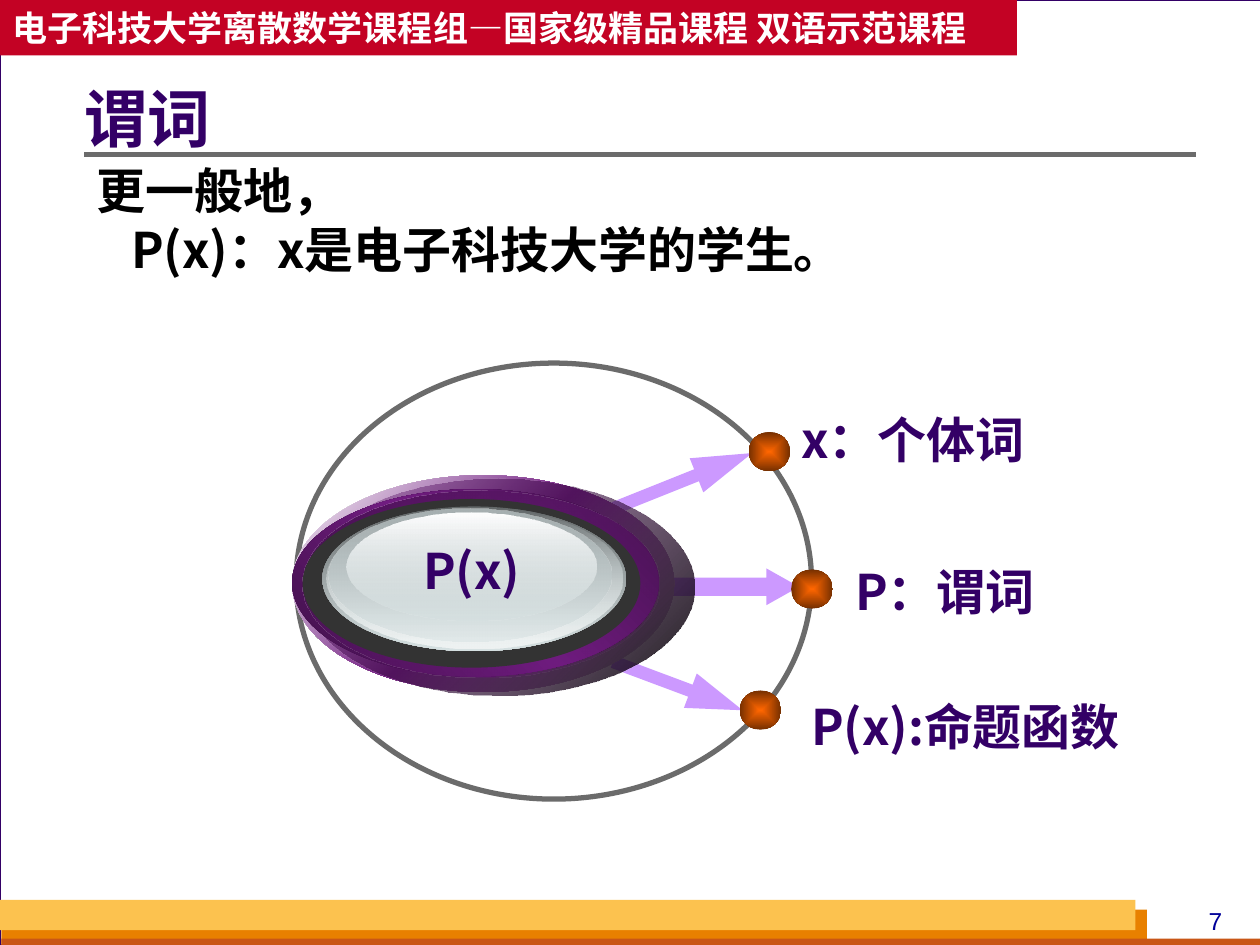
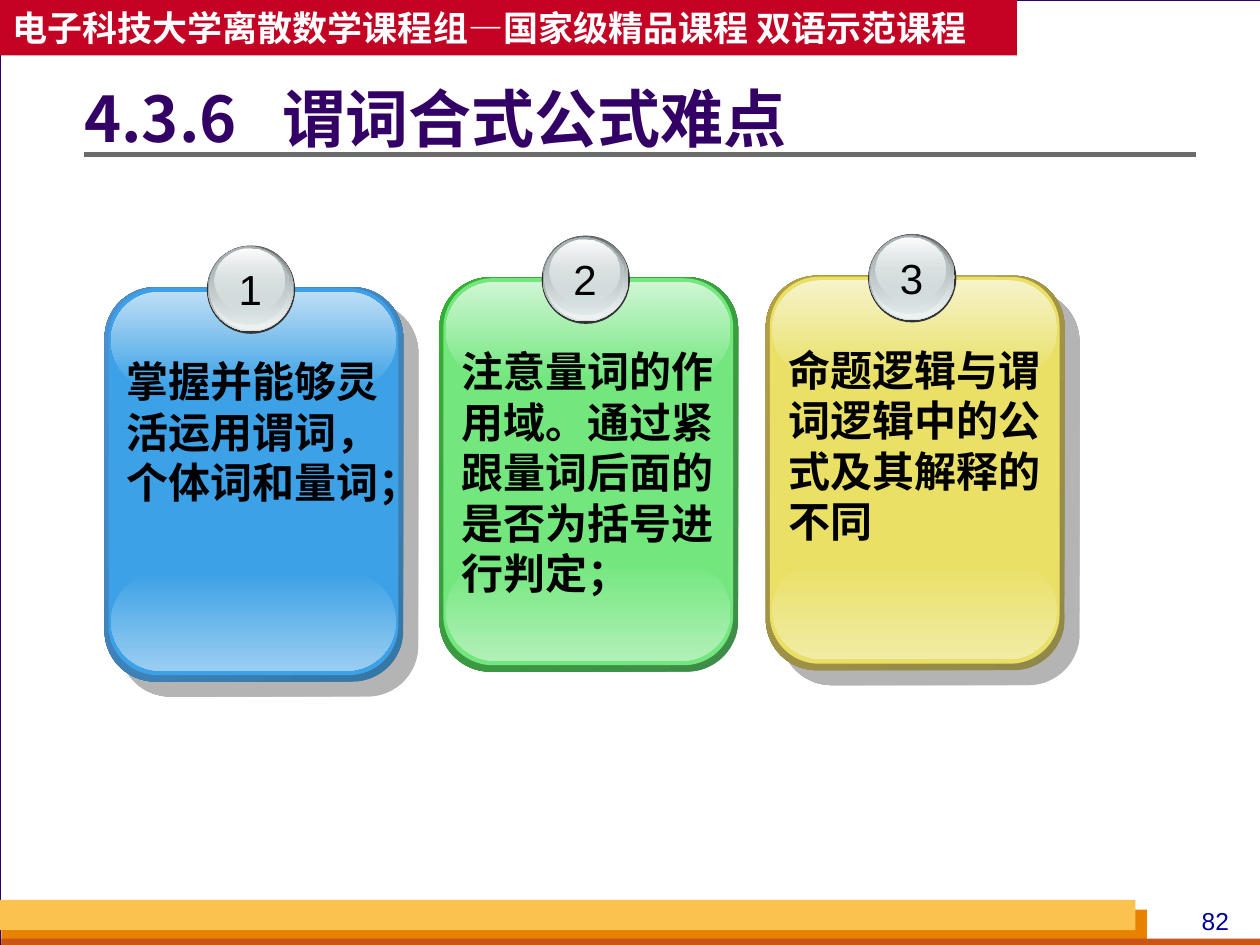
"""Build two lecture slides on predicates: a concept diagram and three key-point cards."""
from dataclasses import dataclass
from typing import Optional, Union

import pptx
import pptx.dml.color
import pptx.enum.shapes
import pptx.enum.text
import pptx.oxml
import pptx.oxml.ns
import pptx.util

Cm = pptx.util.Cm
Pt = pptx.util.Pt
SHAPE = pptx.enum.shapes.MSO_SHAPE
ALIGN = pptx.enum.text.PP_ALIGN
ANCHOR = pptx.enum.text.MSO_ANCHOR

SANS = "Noto Sans CJK SC"
PURPLE, GREY, BLACK, WHITE, CHARCOAL = "330066", "6B6B6B", "000000", "FFFFFF", "333333"
PLUM, PLUM_DARK, PALE = "711C81", "3C0F45", "D6E1E2"


@dataclass(frozen=True)
class Box:
    left: float
    top: float
    width: float
    height: float

    def lengths(self) -> tuple:
        return Cm(self.left), Cm(self.top), Cm(self.width), Cm(self.height)

    def shifted(self, left: float, top: float) -> "Box":
        return Box(self.left + left, self.top + top, self.width, self.height)


@dataclass(frozen=True)
class Stop:
    color: str
    position: int
    opacity: int = 100


@dataclass(frozen=True)
class Gradient:
    stops: tuple[Stop, ...]
    angle: Optional[int] = 90


Fill = Union[str, Gradient, None]


@dataclass(frozen=True)
class Layer:
    box: Box
    fill: Fill


@dataclass(frozen=True)
class TextStyle:
    size: int
    font: str = SANS
    color: str = BLACK
    bold: bool = True
    align: ALIGN = ALIGN.LEFT


@dataclass(frozen=True)
class Label:
    text: str
    box: Box


@dataclass(frozen=True)
class Arrow:
    box: Box
    rotation: float
    adjustments: tuple[float, float]


@dataclass(frozen=True)
class Card:
    number: str
    text: str
    left: float
    top: float
    edge: tuple[str, str]
    face: str
    top_gloss: str
    bottom_gloss: str
    shadow: bool = True


def blend(first: str, last: str, angle: int = 90, first_opacity: int = 100, last_opacity: int = 100) -> Gradient:
    return Gradient((Stop(first, 0, first_opacity), Stop(last, 100, last_opacity)), angle)


def mirrored(outer: str, middle: str, angle: int) -> Gradient:
    return Gradient((Stop(outer, 0), Stop(middle, 50), Stop(outer, 100)), angle)


TITLE_STYLE = TextStyle(36, color=PURPLE)
BODY_STYLE = TextStyle(28)
HEADER_STYLE = TextStyle(20, color=WHITE)
LABEL_STYLE = TextStyle(28, color=PURPLE)
CORE_STYLE = TextStyle(28, color=PURPLE, align=ALIGN.CENTER)
PAGE_STYLE = TextStyle(14, "Arial", "000099", False, ALIGN.CENTER)
NUMBER_STYLE = TextStyle(24, "Arial", BLACK, False, ALIGN.CENTER)
CARD_STYLE = TextStyle(24, "DejaVu Sans")

HEADER = "电子科技大学离散数学课程组—国家级精品课程 双语示范课程"
BANDS = (
    Layer(Box(0.03, 18.34, 23.09, 0.71), "E88000"),
    Layer(Box(0.03, 18.92, 25.4, 0.2), "C95616"),
    Layer(Box(0, 18.14, 22.89, 0.61), "FCC24F"),
)
GLASS = (
    blend("626768", PALE),
    blend(PALE, "EFF3F3", first_opacity=0),
    blend("A8B1B2", PALE, last_opacity=48),
    blend("FEFEFE", PALE, last_opacity=38),
)

LABELS = (
    Label("x：个体词", Box(15.9, 8.13, 5.41, 1.45)),
    Label("P：谓词", Box(16.99, 11.2, 4.93, 1.45)),
    Label("P(x):命题函数", Box(16.1, 13.92, 7.39, 1.45)),
)
ARROWS = (
    Arrow(Box(12.27, 9.32, 3, 0.74), 338.2, (0.35, 1.63)),
    Arrow(Box(12.27, 13.46, 2.79, 0.74), 20.5, (0.35, 1.52)),
    Arrow(Box(13.44, 11.46, 2.67, 0.74), 0, (0.5, 0.89)),
)
RING = Box(5.97, 7.32, 10.39, 8.79)
NODES = ((15.09, 8.71), (14.91, 13.92), (15.95, 11.48))
NODE_FILL = blend("FF6600", "752F00", None)
CORE_GLASS_BOXES = (
    Box(6.5, 10.21, 6.12, 2.92),
    Box(6.58, 10.24, 5.97, 2.84),
    Box(6.63, 10.26, 5.69, 2.67),
    Box(6.98, 10.34, 5.05, 2.16),
)
CORE = (
    Layer(Box(5.89, 9.58, 7.7, 4.37), mirrored("FEFEFE", PLUM, 225)),
    Layer(Box(6.1, 9.65, 7.9, 4.37), blend(BLACK, PLUM, 225, 90, 32)),
    Layer(Box(5.89, 9.86, 7.39, 3.78), mirrored(PLUM_DARK, PLUM, 135)),
    Layer(Box(6.1, 9.88, 7.19, 3.78), blend(PLUM, "471151", 225, 0)),
    Layer(Box(6.1, 10.06, 6.81, 3.4), CHARCOAL),
    *map(Layer, CORE_GLASS_BOXES, GLASS),
)

BADGE_GLASS_BOXES = (
    Box(2.08, -0.84, 1.73, 1.73),
    Box(2.11, -0.82, 1.68, 1.68),
    Box(2.11, -0.81, 1.6, 1.57),
    Box(2.21, -0.77, 1.42, 1.27),
)
BADGE = (Layer(Box(2.06, -0.84, 1.78, 1.78), CHARCOAL), *map(Layer, BADGE_GLASS_BOXES, GLASS))
CARDS = (
    Card("1", "掌握并能够灵活运用谓词，个体词和量词；", 2.11, 5.79,
         ("3477A4", "4E91D4"), "3CA1E6", "BDDEF5", "9ACDF1"),
    Card("2", "注意量词的作用域。通过紧跟量词后面的是否为括号进行判定；", 8.86, 5.59,
         ("3F8B4A", "34B034"), "73E77E", "CFF6D3", "B1F0B7", False),
    Card("3", "命题逻辑与谓词逻辑中的公式及其解释的不同", 15.44, 5.56,
         ("8F8849", "B59F43"), "E9E065", "F6F3CA", "F1ECA5"),
)


def rgb(color: str) -> pptx.dml.color.RGBColor:
    return pptx.dml.color.RGBColor.from_string(color)


def drawing_element(tag: str, attributes: str = "", content: str = ""):
    namespace = pptx.oxml.ns.nsdecls("a")
    return pptx.oxml.parse_xml(f"<a:{tag} {namespace} {attributes}>{content}</a:{tag}>")


def apply_fill(shape, fill: Fill) -> None:
    if isinstance(fill, str):
        shape.fill.solid()
        shape.fill.fore_color.rgb = rgb(fill)
        return
    shape.fill.background()
    if fill is None:
        return
    stops = "".join(
        f'<a:gs pos="{stop.position * 1000}"><a:srgbClr val="{stop.color}">'
        f'<a:alpha val="{stop.opacity * 1000}"/></a:srgbClr></a:gs>'
        for stop in fill.stops
    )
    if fill.angle is None:
        direction = '<a:path path="rect"><a:fillToRect l="50000" t="50000" r="50000" b="50000"/></a:path>'
    else:
        direction = f'<a:lin ang="{fill.angle * 60000}" scaled="0"/>'
    properties = shape._element.spPr
    gradient = drawing_element("gradFill", 'rotWithShape="1"', f"<a:gsLst>{stops}</a:gsLst>{direction}")
    properties.replace(properties.find(pptx.oxml.ns.qn("a:noFill")), gradient)


def add_shape(slide, kind: SHAPE, box: Box, fill: Fill, line: Optional[str] = None,
              line_width: float = 0.75, adjustments: tuple = ()):
    shape = slide.shapes.add_shape(kind, *box.lengths())
    shape.shadow.inherit = False
    apply_fill(shape, fill)
    if line:
        shape.line.color.rgb = rgb(line)
        shape.line.width = Pt(line_width)
    else:
        shape.line.fill.background()
    for index, value in enumerate(adjustments):
        shape.adjustments[index] = value
    return shape


def add_drop_shadow(shape) -> None:
    color = f'<a:srgbClr val="{GREY}"><a:alpha val="50000"/></a:srgbClr>'
    shadow = drawing_element("outerShdw", f'dist="{Pt(12.1)}" dir="2700000" algn="ctr" rotWithShape="0"', color)
    shape._element.spPr.find(pptx.oxml.ns.qn("a:effectLst")).append(shadow)


def write_paragraph(paragraph, text: str, style: TextStyle) -> None:
    paragraph.alignment = style.align
    run = paragraph.add_run()
    run.text = text
    run.font.size = Pt(style.size)
    run.font.bold = style.bold
    run.font.color.rgb = rgb(style.color)
    run.font.name = style.font
    run.font._element.append(drawing_element("ea", f'typeface="{style.font}"'))


def add_text(slide, text: str, box: Box, style: TextStyle, wrap: bool = True) -> None:
    frame = slide.shapes.add_textbox(*box.lengths()).text_frame
    frame.word_wrap = wrap
    write_paragraph(frame.paragraphs[0], text, style)


def place(placeholder, box: Box):
    placeholder.left, placeholder.top, placeholder.width, placeholder.height = box.lengths()
    placeholder.text_frame.auto_size = pptx.enum.text.MSO_AUTO_SIZE.NONE
    return placeholder.text_frame


def decorate_layout(layout, slide) -> None:
    """Draw the shared frame, bands and header, and move them to the layout."""
    layout.background.fill.solid()
    layout.background.fill.fore_color.rgb = rgb("D8DADA")
    shapes = [add_shape(slide, SHAPE.RECTANGLE, Box(0, 0, 25.43, 19.05), WHITE, PURPLE)]
    shapes += [add_shape(slide, SHAPE.RECTANGLE, band.box, band.fill) for band in BANDS]
    rule = slide.shapes.add_connector(
        pptx.enum.shapes.MSO_CONNECTOR.STRAIGHT, Cm(1.7), Cm(3.12), Cm(24.1), Cm(3.12))
    rule.line.color.rgb = rgb(GREY)
    rule.line.width = Pt(3)
    rule._element.spPr.append(drawing_element("effectLst"))
    header = add_shape(slide, SHAPE.RECTANGLE, Box(0, 0, 20.5, 1.12), "C30224")
    header.text_frame.word_wrap = False
    header.text_frame.vertical_anchor = ANCHOR.MIDDLE
    write_paragraph(header.text_frame.paragraphs[0], HEADER, HEADER_STYLE)
    for shape in (*shapes, rule, header):
        layout.shapes._spTree.append(shape._element)


def add_title_and_page(slide, title: str, page: str) -> None:
    frame = place(slide.shapes.title, Box(1.7, 1.17, 22.4, 2.57))
    frame.margin_left = 0
    frame.vertical_anchor = ANCHOR.MIDDLE
    paragraph = frame.paragraphs[0]
    write_paragraph(paragraph, title, TITLE_STYLE)
    paragraph.line_spacing = 0.9
    if "\t" in title:
        tab = f'<a:tab pos="{Cm(4)}" algn="l"/>'
        paragraph._p.get_or_add_pPr().append(drawing_element("tabLst", content=tab))
    add_text(slide, page, Box(23.7, 18.14, 1.6, 0.86), PAGE_STYLE)


def build_predicate_slide(slide) -> None:
    add_title_and_page(slide, "谓词", "7")
    frame = place(slide.placeholders[1], Box(1.7, 3.33, 22.4, 2.59))
    for index, (text, indent) in enumerate((("更一般地，", 0), ("P(x)：x是电子科技大学的学生。", 0.69))):
        paragraph = frame.add_paragraph() if index else frame.paragraphs[0]
        properties = paragraph._p.get_or_add_pPr()
        properties.set("marL", str(Cm(indent)))
        properties.set("indent", "0")
        properties.append(drawing_element("buNone"))
        write_paragraph(paragraph, text, BODY_STYLE)
        paragraph.line_spacing = 0.8
        paragraph.space_before = Pt(7 * index)
    for label in LABELS:
        add_text(slide, label.text, label.box, LABEL_STYLE)
    for arrow in ARROWS:
        shape = add_shape(slide, SHAPE.RIGHT_ARROW, arrow.box, "CC99FF", adjustments=arrow.adjustments)
        shape.rotation = arrow.rotation
    add_shape(slide, SHAPE.OVAL, RING, None, GREY, 3)
    for left, top in NODES:
        add_shape(slide, SHAPE.OVAL, Box(left, top, 0.84, 0.79), NODE_FILL)
    for layer in CORE:
        add_shape(slide, SHAPE.OVAL, layer.box, layer.fill)
    add_text(slide, "P(x)", Box(7.11, 10.77, 4.8, 1.45), CORE_STYLE)


def add_card(slide, card: Card) -> None:
    panels = (
        (Layer(Box(0, 0, 6.02, 7.95), blend(*card.edge, 225)), 0.17),
        (Layer(Box(0.08, 0.02, 5.84, 7.8), card.face), 0.17),
        (Layer(Box(0.13, 5.75, 5.74, 1.98), blend(card.face, card.bottom_gloss)), 0.5),
        (Layer(Box(0.13, 0.09, 5.74, 1.96), blend(card.top_gloss, card.face)), 0.5),
    )
    origin = card.left, card.top
    for index, (panel, corner) in enumerate(panels):
        shape = add_shape(slide, SHAPE.ROUNDED_RECTANGLE, panel.box.shifted(*origin), panel.fill,
                          adjustments=(corner,))
        if card.shadow and index == 0:
            add_drop_shadow(shape)
    for layer in BADGE:
        add_shape(slide, SHAPE.OVAL, layer.box.shifted(*origin), layer.fill)
    add_text(slide, card.number, Box(2.45, -0.6, 0.97, 1.27).shifted(*origin), NUMBER_STYLE, False)
    add_text(slide, card.text, Box(0.2, 1.26, 5.72, 5.33).shifted(*origin), CARD_STYLE)


def build_difficulties_slide(slide) -> None:
    add_title_and_page(slide, "4.3.6\t谓词合式公式难点", "82")
    body = slide.placeholders[1]._element
    body.getparent().remove(body)
    for card in CARDS:
        add_card(slide, card)


def main() -> None:
    presentation = pptx.Presentation()
    presentation.slide_width, presentation.slide_height = Cm(25.4), Cm(19.05)
    layout = presentation.slide_layouts[1]
    predicate_slide = presentation.slides.add_slide(layout)
    decorate_layout(layout, predicate_slide)
    build_predicate_slide(predicate_slide)
    build_difficulties_slide(presentation.slides.add_slide(layout))
    presentation.save("out.pptx")


if __name__ == "__main__":
    main()
